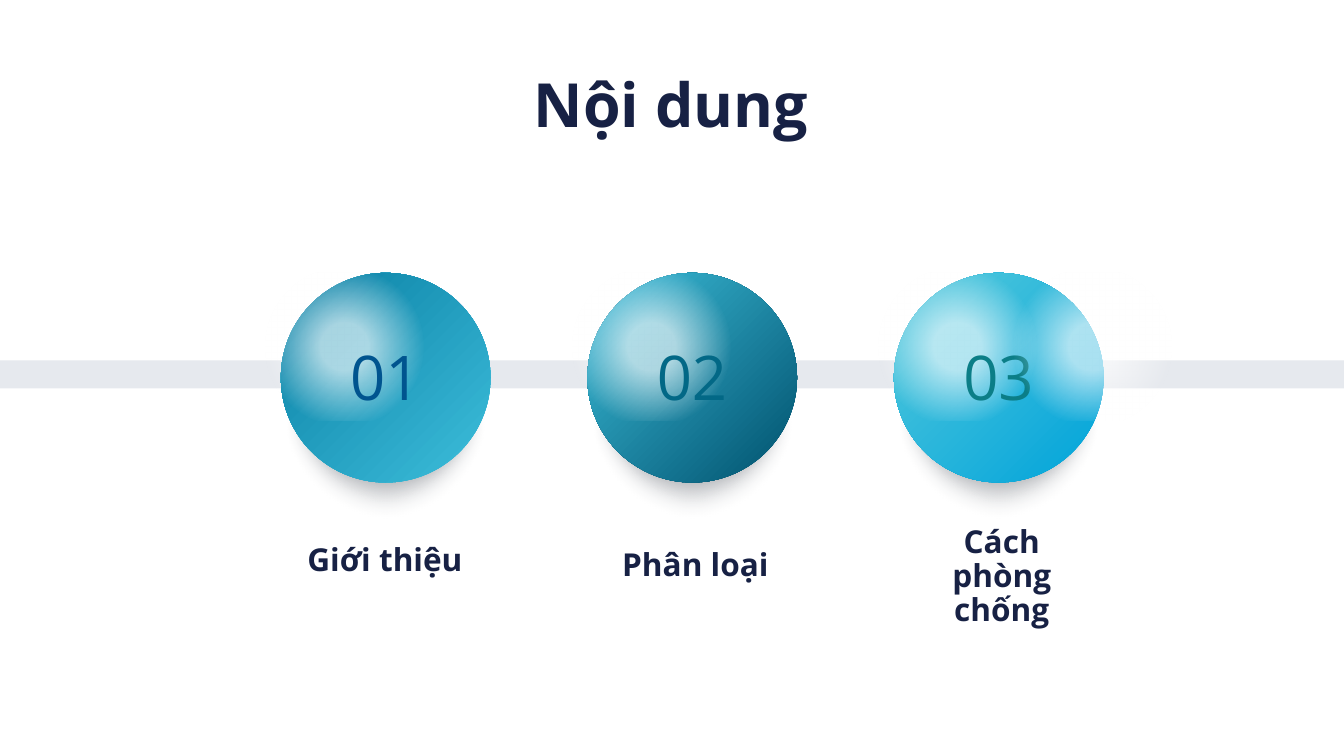
import dataclasses

import pptx
import pptx.dml.color
import pptx.enum.shapes
import pptx.enum.text
import pptx.oxml
import pptx.oxml.ns
import pptx.util

Pt = pptx.util.Pt
SHAPES = pptx.enum.shapes.MSO_SHAPE
ANCHOR = pptx.enum.text.MSO_ANCHOR


@dataclasses.dataclass(frozen=True)
class Theme:
    font: str = "Open Sans"
    ink: str = "172144"
    band: str = "E6E9EE"
    shadow: str = "272E3A"
    gloss: str = "FFFFFF"
    title_size: float = 32.6
    number_size: float = 33
    label_size: float = 16.9


THEME = Theme()
PITCH = 164.2
BALL_LEFT, BALL_TOP, BALL_SIZE = 150.5, 146.2, 112.3
TOPICS = [
    ("01", "00548F", "097EA3", "3DBEDB"),
    ("02", "026886", "3DBEDB", "00516D"),
    ("03", "0B7E87", "56CADC", "00A3DA"),
]
LABELS = [
    ("Giới thiệu", (140.4, 288, 131.8, 28.1), ANCHOR.TOP),
    ("Phân loại", (319.7, 289.4, 105.8, 28.1), ANCHOR.MIDDLE),
    ("Cách phòng chống", (483.8, 285.1, 105.8, 48.2), ANCHOR.MIDDLE),
]


def add_plain(shapes, kind, box):
    shape = shapes.add_shape(kind, *map(Pt, box))
    shape.shadow.inherit = False
    shape.line.fill.background()
    return shape


def set_gradient(shape, stops, direction):
    shape.fill.background()
    marks = "".join(
        f'<a:gs pos="{position * 1000}"><a:srgbClr val="{color}">'
        f'<a:alpha val="{opacity * 1000}"/></a:srgbClr></a:gs>'
        for position, color, opacity in stops
    )
    gradient = pptx.oxml.parse_xml(
        f'<a:gradFill {pptx.oxml.ns.nsdecls("a")} rotWithShape="1">'
        f"<a:gsLst>{marks}</a:gsLst>{direction}</a:gradFill>"
    )
    properties = shape._element.spPr
    properties.replace(properties.find(pptx.oxml.ns.qn("a:noFill")), gradient)


def radial(left, top, right, bottom):
    return (
        f'<a:path path="circle"><a:fillToRect l="{left * 1000}" t="{top * 1000}" '
        f'r="{right * 1000}" b="{bottom * 1000}"/></a:path>'
    )


def soften(shape, radius):
    effects = shape._element.spPr.find(pptx.oxml.ns.qn("a:effectLst"))
    effects.append(pptx.oxml.parse_xml(
        f'<a:softEdge {pptx.oxml.ns.nsdecls("a")} rad="{Pt(radius)}"/>'
    ))


def add_ball_shadow(shapes, box):
    shadow = add_plain(shapes, SHAPES.OVAL, box)
    stops = [(0, THEME.shadow, 17), (42, THEME.shadow, 55), (100, THEME.shadow, 0)]
    set_gradient(shadow, stops, '<a:lin ang="5400000" scaled="0"/>')
    soften(shadow, 12)


def add_gloss(shapes, left):
    gloss = add_plain(shapes, SHAPES.ROUNDED_RECTANGLE, (left, BALL_TOP, 121, 79.2))
    gloss.adjustments[0] = 0.5
    stops = [(18, THEME.gloss, 62), (59, THEME.gloss, 0)]
    set_gradient(gloss, stops, radial(50, 50, 50, 50))


def write(frame, words, size, color, bold, anchor, wrap=True):
    frame.word_wrap = wrap
    frame.vertical_anchor = anchor
    line = frame.paragraphs[0]
    line.text = words
    line.alignment = pptx.enum.text.PP_ALIGN.CENTER
    line.font.name = THEME.font
    line.font.size = Pt(size)
    line.font.bold = bold
    line.font.color.rgb = pptx.dml.color.RGBColor.from_string(color)
    return line


def add_ball(slide, left, number, number_color, light, dark):
    parts = slide.shapes.add_group_shape().shapes
    add_ball_shadow(parts, (left, 172.1, BALL_SIZE, BALL_SIZE))
    add_ball_shadow(parts, (left + 5, 158.4, 102.3, 118.1))
    ball = add_plain(parts, SHAPES.OVAL, (left, BALL_TOP, BALL_SIZE, BALL_SIZE))
    set_gradient(ball, [(0, light, 100), (100, dark, 100)], radial(0, 0, 100, 100))
    add_gloss(parts, left - 26.4)
    numeral = parts.add_textbox(*map(Pt, (left + 29, 177.8, 54, 47.5)))
    write(numeral.text_frame, number, THEME.number_size, number_color, False,
          ANCHOR.MIDDLE, wrap=False)


def add_label(slide, words, box, anchor):
    label = slide.shapes.add_textbox(*map(Pt, box))
    line = write(label.text_frame, words, THEME.label_size, THEME.ink, True, anchor)
    line.line_spacing = 0.9


def set_title(slide, words):
    title = slide.shapes.title
    title.left, title.top, title.width, title.height = map(Pt, (141.8, 36.7, 435.6, 46.8))
    line = write(title.text_frame, words, THEME.title_size, THEME.ink, True, ANCHOR.TOP)
    line.line_spacing = 0.9
    title.text_frame.auto_size = pptx.enum.text.MSO_AUTO_SIZE.NONE


def main():
    deck = pptx.Presentation()
    deck.slide_width, deck.slide_height = Pt(720), Pt(405)
    slide = deck.slides.add_slide(deck.slide_layouts[5])
    set_title(slide, "Nội dung")
    band = add_plain(slide.shapes, SHAPES.RECTANGLE, (0, 193, 720, 15.1))
    band.fill.solid()
    band.fill.fore_color.rgb = pptx.dml.color.RGBColor.from_string(THEME.band)
    for position, topic in enumerate(TOPICS):
        add_ball(slide, BALL_LEFT + position * PITCH, *topic)
    add_gloss(slide.shapes, 524.9)
    for label in LABELS:
        add_label(slide, *label)
    deck.save("out.pptx")


if __name__ == "__main__":
    main()
